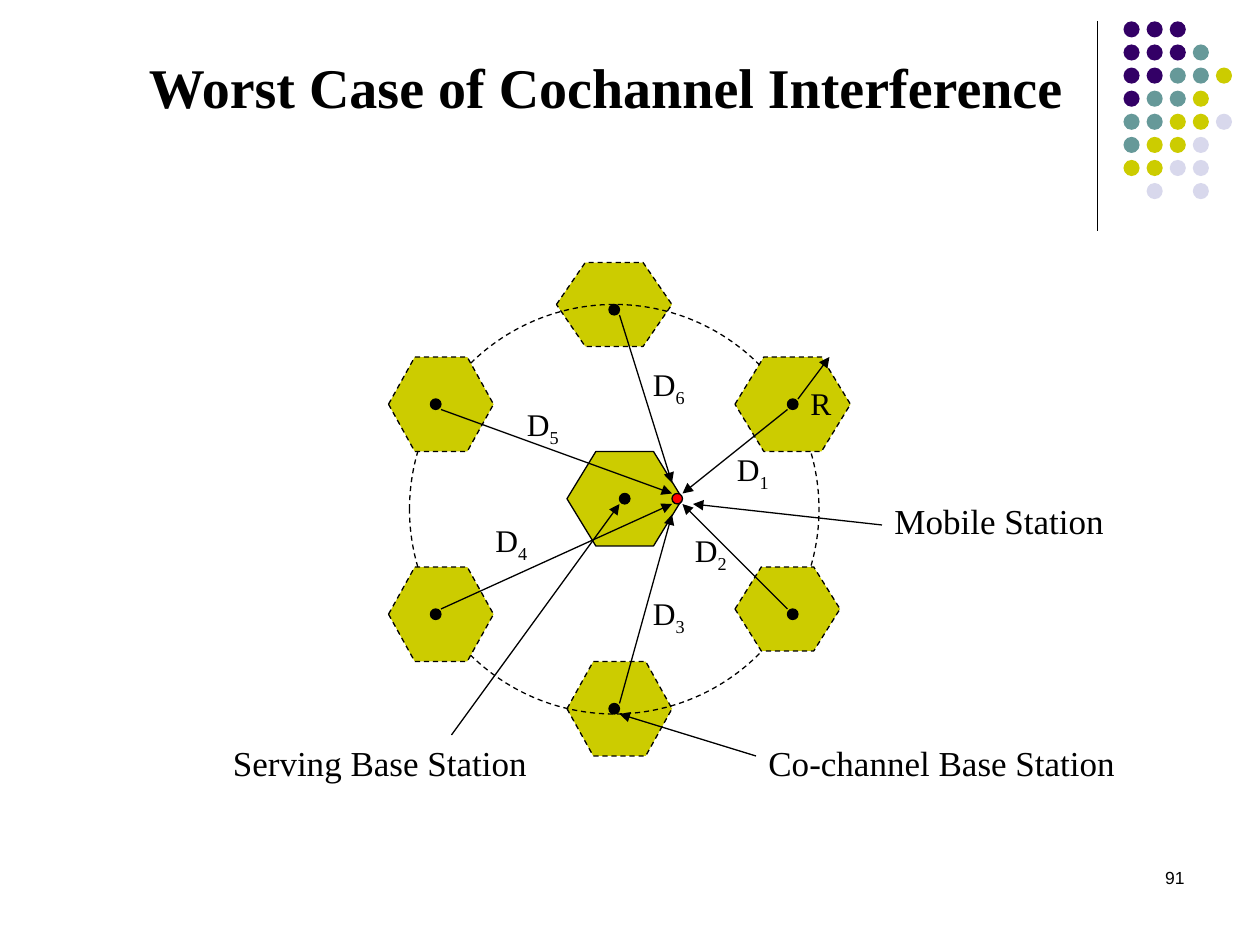
from dataclasses import dataclass
from typing import Optional

from lxml import etree
from pptx import Presentation
from pptx.dml.color import RGBColor
from pptx.enum.dml import MSO_LINE
from pptx.enum.shapes import MSO_CONNECTOR, MSO_SHAPE
from pptx.enum.text import MSO_ANCHOR, MSO_AUTO_SIZE, PP_ALIGN
from pptx.oxml.ns import qn
from pptx.util import Pt

OVAL, HEXAGON = MSO_SHAPE.OVAL, MSO_SHAPE.HEXAGON
STRAIGHT = MSO_CONNECTOR.STRAIGHT
DASH = MSO_LINE.DASH
LEFT, RIGHT = PP_ALIGN.LEFT, PP_ALIGN.RIGHT
TOP, BOTTOM = MSO_ANCHOR.TOP, MSO_ANCHOR.BOTTOM
FIT, FIXED = MSO_AUTO_SIZE.SHAPE_TO_FIT_TEXT, MSO_AUTO_SIZE.NONE


@dataclass(frozen=True)
class Theme:
    ink: str = "000000"
    cell: str = "CCCC00"
    phone: str = "FF0000"
    plum: str = "330066"
    teal: str = "669999"
    pale: str = "D8D8EC"
    serif: str = "Times New Roman"
    sans: str = "Arial"
    title: float = 32
    label: float = 20
    symbol: float = 18
    number: float = 10
    stroke: float = 0.75


THEME = Theme()


@dataclass(frozen=True)
class Box:
    x: float
    y: float
    w: float
    h: float


@dataclass(frozen=True)
class Cell:
    box: Box
    dashed: bool = True


@dataclass(frozen=True)
class Arrow:
    x1: float
    y1: float
    x2: float
    y2: float


@dataclass(frozen=True)
class Label:
    text: str
    box: Box
    size: float
    sub: str = ""
    font: str = THEME.serif
    bold: bool = False
    align: PP_ALIGN = LEFT
    anchor: MSO_ANCHOR = TOP
    fit: MSO_AUTO_SIZE = FIT


PATTERN = ("PPP", "PPPT", "PPTTC", "PTTC", "TTCCL", "TCCL", "CCLL", " L L")
TINTS = {"P": THEME.plum, "T": THEME.teal, "C": THEME.cell, "L": THEME.pale}
GRID_X, GRID_Y, PITCH, BEAD = 642, 12.2, 13.2, 9.2

INNER = (
    Cell(Box(324, 258, 66, 54), dashed=False),
    Cell(Box(318, 150, 66, 48)),
    Cell(Box(324, 378, 60, 54)),
)
RING = Box(234, 174, 234, 234)
OUTER = (
    Cell(Box(420, 204, 66, 54)),
    Cell(Box(420, 324, 60, 48)),
    Cell(Box(222, 204, 60, 54)),
    Cell(Box(222, 324, 60, 54)),
)

DOT = 6
PHONE = (384, 282)
BASES = ((354, 282), (246, 228), (348, 174), (246, 348),
         (348, 402), (450, 348), (450, 228))

ARROWS = (
    Arrow(252, 234, 384, 282),
    Arrow(354, 180, 384, 276),
    Arrow(252, 348, 384, 288),
    Arrow(354, 402, 384, 294),
    Arrow(450, 348, 390, 288),
    Arrow(450, 234, 390, 282),
    Arrow(504, 300, 396, 288),
    Arrow(258, 420, 354, 288),
    Arrow(432, 432, 354, 408),
    Arrow(456, 228, 474, 204),
)

LABELS = (
    Label("Worst Case of Cochannel Interference", Box(78, 12, 612, 60),
          THEME.title, bold=True, anchor=BOTTOM, fit=FIXED),
    Label("91", Box(516, 492, 168, 36), THEME.number, font=THEME.sans,
          align=RIGHT, fit=FIXED),
    Label("Mobile Station", Box(504, 282, 156, 31), THEME.label),
    Label("Serving Base Station", Box(126, 420, 186, 31), THEME.label),
    Label("Co-channel Base Station", Box(432, 420, 222, 31), THEME.label),
    Label("R", Box(456, 216, 30, 29), THEME.symbol),
)
SPOTS = ((414, 253.5), (390, 300), (366, 336),
         (276, 294), (294, 228), (366, 205))


def paint(shape, fill: Optional[str], lined: bool = True,
          dashed: bool = False) -> None:
    shape.shadow.inherit = False
    if fill:
        shape.fill.solid()
        shape.fill.fore_color.rgb = RGBColor.from_string(fill)
    else:
        shape.fill.background()
    if not lined:
        shape.line.fill.background()
        return
    shape.line.color.rgb = RGBColor.from_string(THEME.ink)
    shape.line.width = Pt(THEME.stroke)
    if dashed:
        shape.line.dash_style = DASH


def add_shape(shapes, kind: MSO_SHAPE, box: Box):
    return shapes.add_shape(kind, Pt(box.x), Pt(box.y), Pt(box.w), Pt(box.h))


def add_cell(shapes, cell: Cell) -> None:
    """Draw a hexagon whose slanted ends each take a quarter of its width."""
    box = cell.box
    shape = add_shape(shapes, HEXAGON, box)
    shape.adjustments[0] = box.w / 4 / min(box.w, box.h)
    paint(shape, THEME.cell, dashed=cell.dashed)


def add_dot(shapes, x: float, y: float, fill: str) -> None:
    paint(add_shape(shapes, OVAL, Box(x, y, DOT, DOT)), fill)


def add_line(shapes, arrow: Arrow, head: bool = True) -> None:
    line = shapes.add_connector(STRAIGHT, Pt(arrow.x1), Pt(arrow.y1),
                                Pt(arrow.x2), Pt(arrow.y2))
    line.line.color.rgb = RGBColor.from_string(THEME.ink)
    line.line.width = Pt(THEME.stroke)
    if head:
        etree.SubElement(line.line._get_or_add_ln(), qn("a:tailEnd"),
                         type="triangle")
    etree.SubElement(line._element.spPr, qn("a:effectLst"))


def add_label(shapes, label: Label) -> None:
    box = label.box
    frame = shapes.add_textbox(Pt(box.x), Pt(box.y), Pt(box.w),
                               Pt(box.h)).text_frame
    frame.text = label.text
    frame.word_wrap = True
    frame.auto_size = label.fit
    frame.vertical_anchor = label.anchor
    para = frame.paragraphs[0]
    para.alignment = label.align
    if label.sub:
        run = para.add_run()
        run.text = label.sub
        run._r.get_or_add_rPr().set("baseline", "-25000")
    for run in para.runs:
        run.font.name = label.font
        run.font.size = Pt(label.size)
        run.font.bold = label.bold
        run.font.color.rgb = RGBColor.from_string(THEME.ink)


def add_beads(shapes) -> None:
    """Draw the corner grid of coloured dots as one group."""
    group = shapes.add_group_shape().shapes
    for row, marks in enumerate(PATTERN):
        for col, mark in enumerate(marks):
            if mark in TINTS:
                box = Box(GRID_X + col * PITCH, GRID_Y + row * PITCH,
                          BEAD, BEAD)
                paint(add_shape(group, OVAL, box), TINTS[mark], lined=False)


def main() -> None:
    deck = Presentation()
    deck.slide_width, deck.slide_height = Pt(720), Pt(540)
    shapes = deck.slides.add_slide(deck.slide_layouts[6]).shapes

    add_line(shapes, Arrow(627, 12, 627, 132), head=False)
    add_beads(shapes)
    for cell in INNER:
        add_cell(shapes, cell)
    paint(add_shape(shapes, OVAL, RING), None, dashed=True)
    for cell in OUTER:
        add_cell(shapes, cell)
    for x, y in BASES:
        add_dot(shapes, x, y, THEME.ink)
    add_dot(shapes, *PHONE, THEME.phone)
    for arrow in ARROWS:
        add_line(shapes, arrow)
    for label in LABELS:
        add_label(shapes, label)
    for index, (x, y) in enumerate(SPOTS, 1):
        add_label(shapes, Label("D", Box(x, y, 42, 29), THEME.symbol,
                                sub=str(index)))
    deck.save("out.pptx")


if __name__ == "__main__":
    main()
